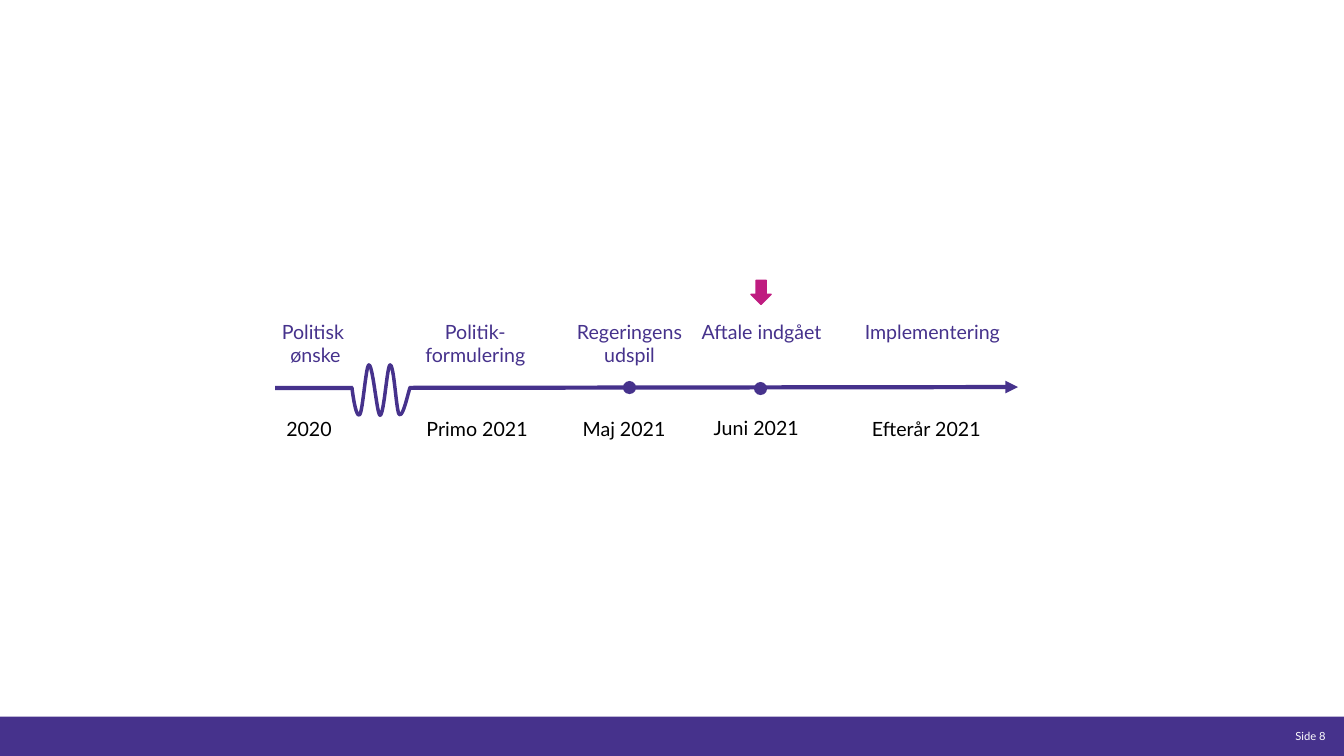
from dataclasses import dataclass

from lxml import etree
from pptx import Presentation
from pptx.dml.color import RGBColor
from pptx.enum.shapes import MSO_CONNECTOR, MSO_SHAPE
from pptx.enum.text import MSO_ANCHOR, MSO_AUTO_SIZE, PP_ALIGN
from pptx.oxml.ns import qn
from pptx.shapes.autoshape import Shape
from pptx.shapes.shapetree import GroupShapes, SlideShapes
from pptx.util import Emu, Inches, Pt

RECTANGLE, OVAL, DOWN_ARROW = MSO_SHAPE.RECTANGLE, MSO_SHAPE.OVAL, MSO_SHAPE.DOWN_ARROW
STRAIGHT = MSO_CONNECTOR.STRAIGHT
LEFT, CENTER = PP_ALIGN.LEFT, PP_ALIGN.CENTER
TOP, BOTTOM = MSO_ANCHOR.TOP, MSO_ANCHOR.BOTTOM
FIT_SHAPE, NO_FIT = MSO_AUTO_SIZE.SHAPE_TO_FIT_TEXT, MSO_AUTO_SIZE.NONE

SLIDE_WIDTH, SLIDE_HEIGHT = Inches(13.333), Inches(7.5)
FONT = "Lato"
PURPLE, PINK, BLACK, WHITE = "46328C", "BF1C80", "000000", "FFFFFF"

# All positions and sizes are percentages of the slide's width and height.
LABEL_TOP, LINE_HEIGHT = 42.27, 3.2
DOT_WIDTH, DOT_HEIGHT = 0.98, 1.73
CURVE_STEPS = 12


@dataclass(frozen=True)
class Box:
    left: float
    top: float
    width: float
    height: float


@dataclass(frozen=True)
class Phase:
    label: str
    label_left: float
    label_width: float
    label_lines: int
    date: str
    date_left: float
    date_width: float
    date_top: float = 55.2


PHASES = [
    Phase("Politisk \nønske", 19.95, 7.05, 2, "2020", 21.3, 4.35),
    Phase("Politik-formulering", 31.13, 8.48, 2, "Primo 2021", 31.73, 10.5),
    Phase("Regeringens udspil", 42.15, 9.38, 2, "Maj 2021", 43.35, 7.05),
    Phase("Aftale indgået", 51.98, 9.38, 2, "Juni 2021", 53.1, 7.05, 55.07),
    Phase("Implementering", 63.53, 11.7, 1, "Efterår 2021", 64.88, 9),
]
MILESTONES = [Box(46.35, 50.4, DOT_WIDTH, DOT_HEIGHT),
              Box(56.1, 50.53, DOT_WIDTH, DOT_HEIGHT)]

# Start of the wave, then two control points and an end point per curve.
WAVE_START = (26.18, 51.2)
WAVE_CURVES = [
    ((26.33, 53.33), (26.55, 55.33), (26.78, 54.8)),
    ((27, 54.27), (27.23, 48.27), (27.45, 48.27)),
    ((27.75, 48.27), (28.05, 54.93), (28.28, 54.93)),
    ((28.58, 54.93), (28.8, 48.27), (29.03, 48.27)),
    ((29.33, 48.27), (29.48, 54.4), (29.7, 54.8)),
    ((30, 55.33), (30.38, 51.73), (30.53, 51.2)),
]


def rgb(color: str) -> RGBColor:
    return RGBColor.from_string(color)


def across(share: float) -> Emu:
    """Percentage of the slide's width as a length."""
    return Emu(round(SLIDE_WIDTH * share / 100))


def down(share: float) -> Emu:
    """Percentage of the slide's height as a length."""
    return Emu(round(SLIDE_HEIGHT * share / 100))


def frame(box: Box) -> tuple[Emu, Emu, Emu, Emu]:
    return across(box.left), down(box.top), across(box.width), down(box.height)


def add_block(shapes: SlideShapes | GroupShapes, kind: MSO_SHAPE, box: Box,
              fill: str, outline: str | None = None) -> Shape:
    block = shapes.add_shape(kind, *frame(box))
    block.shadow.inherit = False
    block.fill.solid()
    block.fill.fore_color.rgb = rgb(fill)
    if outline:
        block.line.color.rgb = rgb(outline)
        block.line.width = Pt(1)
    else:
        block.line.fill.background()
    return block


def add_text(shapes: SlideShapes | GroupShapes, box: Box, text: str, color: str,
             size: float = 14, align: PP_ALIGN = LEFT, anchor: MSO_ANCHOR = TOP,
             fit: MSO_AUTO_SIZE = FIT_SHAPE) -> None:
    text_frame = shapes.add_textbox(*frame(box)).text_frame
    text_frame.word_wrap = True
    text_frame.auto_size = fit
    text_frame.vertical_anchor = anchor
    text_frame.margin_left = text_frame.margin_right = 0
    text_frame.margin_top = text_frame.margin_bottom = 0
    paragraph = text_frame.paragraphs[0]
    paragraph.alignment = align
    for index, line in enumerate(text.split("\n")):
        if index:
            paragraph.add_line_break()
        run = paragraph.add_run()
        run.text = line
        run.font.name = FONT
        run.font.size = Pt(size)
        run.font.color.rgb = rgb(color)


def add_time_axis(shapes: GroupShapes) -> None:
    axis = shapes.add_connector(STRAIGHT, across(20.48), down(51.33),
                                across(75.75), down(51.2))
    axis.line.color.rgb = rgb(PURPLE)
    axis.line.width = Pt(3)
    etree.SubElement(axis.line._get_or_add_ln(), qn("a:tailEnd"), type="triangle")
    etree.SubElement(axis._element.spPr, qn("a:effectLst"))


def wave_points() -> list[tuple[Emu, Emu]]:
    """Points along the cubic curves of the wave, after its start."""
    points = []
    start = WAVE_START
    for first, second, end in WAVE_CURVES:
        for step in range(1, CURVE_STEPS + 1):
            t = step / CURVE_STEPS
            weights = ((1 - t) ** 3, 3 * t * (1 - t) ** 2, 3 * t ** 2 * (1 - t), t ** 3)
            knots = (start, first, second, end)
            x, y = (sum(w * knot[i] for w, knot in zip(weights, knots)) for i in (0, 1))
            points.append((across(x), down(y)))
        start = end
    return points


def add_time_break(shapes: GroupShapes) -> None:
    """Hide part of the axis and draw the wave in the gap."""
    add_block(shapes, RECTANGLE, Box(26.25, 49.2, 4.2, 4.4), WHITE)
    builder = shapes.build_freeform(across(WAVE_START[0]), down(WAVE_START[1]))
    builder.add_line_segments(wave_points(), close=False)
    wave = builder.convert_to_shape()
    wave.shadow.inherit = False
    wave.fill.background()
    wave.line.color.rgb = rgb(PURPLE)
    wave.line.width = Pt(2.5)


def add_phase(shapes: GroupShapes, phase: Phase) -> None:
    label_box = Box(phase.label_left, LABEL_TOP, phase.label_width,
                    phase.label_lines * LINE_HEIGHT)
    date_box = Box(phase.date_left, phase.date_top, phase.date_width, LINE_HEIGHT)
    add_text(shapes, label_box, phase.label, PURPLE, align=CENTER)
    add_text(shapes, date_box, phase.date, BLACK)


def main() -> None:
    deck = Presentation()
    deck.slide_width, deck.slide_height = SLIDE_WIDTH, SLIDE_HEIGHT
    slide = deck.slides.add_slide(deck.slide_layouts[6])

    add_block(slide.shapes, RECTANGLE, Box(0, 94.8, 100, 5.2), PURPLE)
    add_text(slide.shapes, Box(96.38, 95.6, 3.62, 2.67), "Side 8", WHITE,
             size=8, anchor=BOTTOM, fit=NO_FIT)

    timeline = slide.shapes.add_group_shape().shapes
    add_time_axis(timeline)
    for phase in PHASES:
        add_phase(timeline, phase)
    for milestone in MILESTONES:
        add_block(timeline, OVAL, milestone, PURPLE)
    add_time_break(timeline)
    add_block(timeline, DOWN_ARROW, Box(55.88, 37.07, 1.5, 3.2), PINK, outline=PINK)

    deck.save("out.pptx")


if __name__ == "__main__":
    main()
